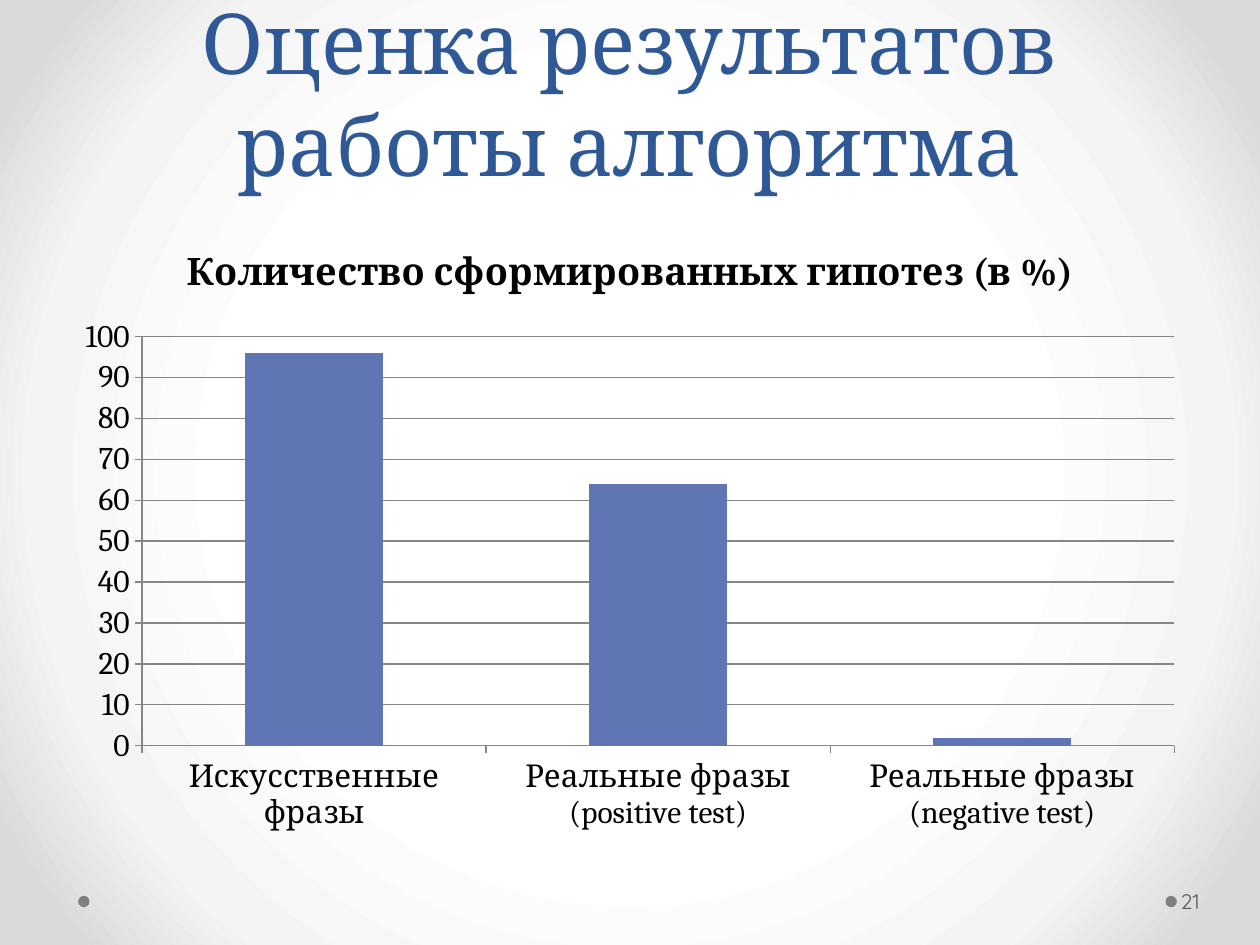
import lxml.etree
import pptx
import pptx.chart.data
import pptx.dml.color
import pptx.enum.chart
import pptx.enum.shapes
import pptx.enum.text
import pptx.oxml
import pptx.oxml.ns
import pptx.util

Inches, Pt = pptx.util.Inches, pptx.util.Pt
ALIGN = pptx.enum.text.PP_ALIGN
ANCHOR = pptx.enum.text.MSO_ANCHOR

COLORS = {
    "title": "2F5897",
    "bar": "6076B4",
    "text": "000000",
    "axis": "868686",
    "dot": "808080",
    "number": "595959",
}
BACKGROUND_STOPS = [(50, "FFFFFF"), (76, "F4F4F4"), (92, "DADADA")]
CHART_TITLE = "Количество сформированных гипотез (в %)"
SHARES = {
    "Искусственные фразы": 96,
    "Реальные фразы (positive test)": 64,
    "Реальные фразы (negative test)": 2,
}


def rgb(name):
    return pptx.dml.color.RGBColor.from_string(COLORS[name])


def apply(obj, **values):
    for name, value in values.items():
        setattr(obj, name, value)


class SlideBuilder:
    def __init__(self, prs, font="Cambria"):
        self.font = font
        self.slide = prs.slides.add_slide(prs.slide_layouts[6])

    def style_font(self, font, size, color, name=None, bold=False):
        apply(font, size=Pt(size), name=name or self.font, bold=bold)
        font.color.rgb = rgb(color)

    def background(self, stops):
        """Fill the background with a gradient spreading from the centre."""
        self.slide.background.fill.gradient()
        grad = self.slide.element.find(".//" + pptx.oxml.ns.qn("a:gradFill"))
        gs = "".join(
            f'<a:gs pos="{pos * 1000}"><a:srgbClr val="{color}"/></a:gs>'
            for pos, color in stops
        )
        radial = pptx.oxml.parse_xml(
            f'<a:gradFill {pptx.oxml.ns.nsdecls("a")} rotWithShape="1">'
            f'<a:gsLst>{gs}</a:gsLst><a:path path="circle">'
            '<a:fillToRect l="50000" t="50000" r="50000" b="50000"/>'
            "</a:path></a:gradFill>"
        )
        grad.getparent().replace(grad, radial)

    def dot(self, x, y, size=0.09):
        sp = self.slide.shapes.add_shape(
            pptx.enum.shapes.MSO_SHAPE.OVAL,
            Inches(x), Inches(y), Inches(size), Inches(size),
        )
        sp.shadow.inherit = False
        sp.fill.solid()
        sp.fill.fore_color.rgb = rgb("dot")
        sp.line.fill.background()

    def text(self, box, text, size, color, font=None, frame=None, paragraph=None):
        sp = self.slide.shapes.add_textbox(*map(Inches, box))
        tf = sp.text_frame
        apply(tf, word_wrap=True, **(frame or {}))
        p = tf.paragraphs[0]
        apply(p, **(paragraph or {}))
        r = p.add_run()
        r.text = text
        self.style_font(r.font, size, color, font)

    def column_chart(self, box, title, values):
        data = pptx.chart.data.CategoryChartData()
        data.categories = list(values)
        data.add_series(title, list(values.values()))
        chart = self.slide.shapes.add_chart(
            pptx.enum.chart.XL_CHART_TYPE.COLUMN_CLUSTERED,
            *map(Inches, box), data,
        ).chart
        apply(chart, has_legend=False, has_title=True)
        self.style_font(chart.font, 18, "text")

        p = chart.chart_title.text_frame.paragraphs[0]
        r = p.add_run()
        r.text = title
        self.style_font(r.font, 21.6, "text", bold=True)

        plot = chart.plots[0]
        apply(plot, gap_width=150, vary_by_categories=False)
        fill = plot.series[0].format.fill
        fill.solid()
        fill.fore_color.rgb = rgb("bar")

        apply(chart.value_axis, minimum_scale=0, maximum_scale=100,
              major_unit=10, has_major_gridlines=True)
        for axis in (chart.category_axis, chart.value_axis):
            axis.major_tick_mark = pptx.enum.chart.XL_TICK_MARK.OUTSIDE
            axis.format.line.color.rgb = rgb("axis")
        chart.value_axis.major_gridlines.format.line.color.rgb = rgb("axis")


def main():
    prs = pptx.Presentation()
    apply(prs, slide_width=Inches(10), slide_height=Inches(7.5))
    s = SlideBuilder(prs)
    s.background(BACKGROUND_STOPS)
    for x in (9.25, 0.62):
        s.dot(x, 7.11)
    s.text((0.5, 0.25, 9, 1.33), "Оценка результатов работы алгоритма", 48, "title",
           frame={"vertical_anchor": ANCHOR.BOTTOM},
           paragraph={"alignment": ALIGN.CENTER, "line_spacing": Pt(58)})
    s.column_chart((0.5, 1.75, 9, 4.95), CHART_TITLE, SHARES)
    s.text((9.34, 6.95, 0.61, 0.4), "21", 12, "number", font="Quicksand",
           frame={"vertical_anchor": ANCHOR.MIDDLE,
                  "margin_left": Inches(0.03), "margin_right": Inches(0.05)})
    prs.save("out.pptx")


if __name__ == "__main__":
    main()
